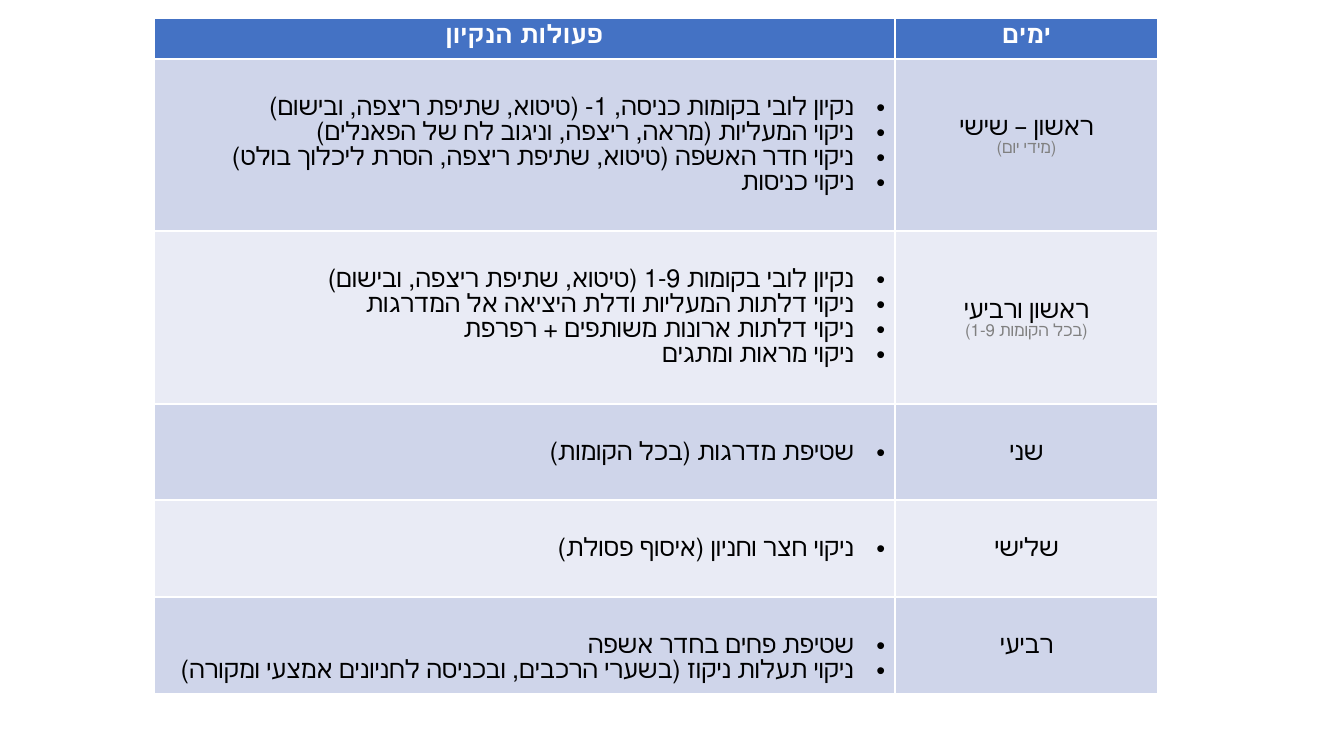
from lxml import etree
from pptx import Presentation
from pptx.dml.color import RGBColor
from pptx.enum.text import MSO_ANCHOR, PP_ALIGN
from pptx.oxml.ns import qn
from pptx.util import Emu, Pt

CENTER, RIGHT, TOP = PP_ALIGN.CENTER, PP_ALIGN.RIGHT, MSO_ANCHOR.TOP
FONT = "Calibri"
EMU_PER_PX = 914400 / 100.8
COLORS = {
    "header": "4472C4",
    "odd": "CFD5EA",
    "even": "E9EBF5",
    "white": "FFFFFF",
    "text": "000000",
    "note": "808080",
}

TABLE_LEFT, TABLE_TOP = 154, 18
COLUMN_WIDTHS = [741, 263]
HEADER_HEIGHT = 41
SIDE_MARGIN, HEADER_MARGIN, TEXT_MARGIN = 10, 5, 36
BULLET_INDENT = 31
HEADERS = ["פעולות הנקיון", "ימים"]

# Row height, top margin of the day cell, day, note under the day, tasks
SCHEDULE = [
    (172, 56, "ראשון – שישי", "(מידי יום)", [
        "נקיון לובי בקומות כניסה, 1- (טיטוא, שתיפת ריצפה, ובישום)",
        "ניקוי המעליות (מראה, ריצפה, וניגוב לח של הפאנלים)",
        "ניקוי חדר האשפה (טיטוא, שתיפת ריצפה, הסרת ליכלוך בולט)",
        "ניקוי כניסות",
    ]),
    (173, 67, "ראשון ורביעי", "(בכל הקומות 1-9)", [
        "נקיון לובי בקומות 1-9 (טיטוא, שתיפת ריצפה, ובישום)",
        "ניקוי דלתות המעליות ודלת היציאה אל המדרגות",
        "ניקוי דלתות ארונות משותפים + רפרפת",
        "ניקוי מראות ומתגים",
    ]),
    (96, TEXT_MARGIN, "שני", None, ["שטיפת מדרגות (בכל הקומות)"]),
    (97, TEXT_MARGIN, "שלישי", None, ["ניקוי חצר וחניון (איסוף פסולת)"]),
    (97, TEXT_MARGIN, "רביעי", None, [
        "שטיפת פחים בחדר אשפה",
        "ניקוי תעלות ניקוז (בשערי הרכבים, ובכניסה לחניונים אמצעי ומקורה)",
    ]),
]


def px(length):
    return Emu(round(length * EMU_PER_PX))


def style_cell(cell, fill, top_margin):
    cell.vertical_anchor = TOP
    cell.margin_left = cell.margin_right = px(SIDE_MARGIN)
    cell.margin_top, cell.margin_bottom = px(top_margin), px(HEADER_MARGIN)
    cell.fill.solid()
    cell.fill.fore_color.rgb = RGBColor.from_string(COLORS[fill])


def add_run(paragraph, text, size=18, color="text", bold=False):
    run = paragraph.add_run()
    run.text = text
    run.font.name = FONT
    run.font.size = Pt(size)
    run.font.bold = bold
    run.font.color.rgb = RGBColor.from_string(COLORS[color])


def next_paragraph(cell, alignment):
    frame = cell.text_frame
    paragraph = frame.paragraphs[0] if not frame.text else frame.add_paragraph()
    paragraph.alignment = alignment
    paragraph._p.get_or_add_pPr().set("rtl", "1")
    return paragraph


def add_bullet(paragraph):
    properties = paragraph._p.get_or_add_pPr()
    properties.set("marL", str(px(BULLET_INDENT)))
    properties.set("indent", str(-px(BULLET_INDENT)))
    etree.SubElement(properties, qn("a:buFont"), typeface="Arial")
    etree.SubElement(properties, qn("a:buChar"), char="•")


def fill_header(table):
    for column, title in enumerate(HEADERS):
        cell = table.cell(0, column)
        style_cell(cell, "header", HEADER_MARGIN)
        add_run(next_paragraph(cell, CENTER), title, color="white", bold=True)


def fill_day(cell, day, note):
    add_run(next_paragraph(cell, CENTER), day)
    if note:
        add_run(next_paragraph(cell, CENTER), note, size=12, color="note")


def fill_tasks(cell, tasks):
    for task in tasks:
        paragraph = next_paragraph(cell, RIGHT)
        add_bullet(paragraph)
        add_run(paragraph, task)


def add_schedule_table(slide):
    # The default table style supplies the white cell borders
    heights = [HEADER_HEIGHT] + [entry[0] for entry in SCHEDULE]
    frame = slide.shapes.add_table(
        len(heights), len(COLUMN_WIDTHS), px(TABLE_LEFT), px(TABLE_TOP),
        px(sum(COLUMN_WIDTHS)), px(sum(heights)))
    table = frame.table
    for column, width in zip(table.columns, COLUMN_WIDTHS):
        column.width = px(width)
    for row, height in zip(table.rows, heights):
        row.height = px(height)

    fill_header(table)
    for index, (_, day_margin, day, note, tasks) in enumerate(SCHEDULE, start=1):
        band = "odd" if index % 2 else "even"
        task_cell, day_cell = table.cell(index, 0), table.cell(index, 1)
        style_cell(task_cell, band, TEXT_MARGIN)
        style_cell(day_cell, band, day_margin)
        fill_tasks(task_cell, tasks)
        fill_day(day_cell, day, note)


def main():
    presentation = Presentation()
    presentation.slide_width, presentation.slide_height = px(1344), px(756)
    slide = presentation.slides.add_slide(presentation.slide_layouts[6])
    add_schedule_table(slide)
    presentation.save("out.pptx")


if __name__ == "__main__":
    main()
